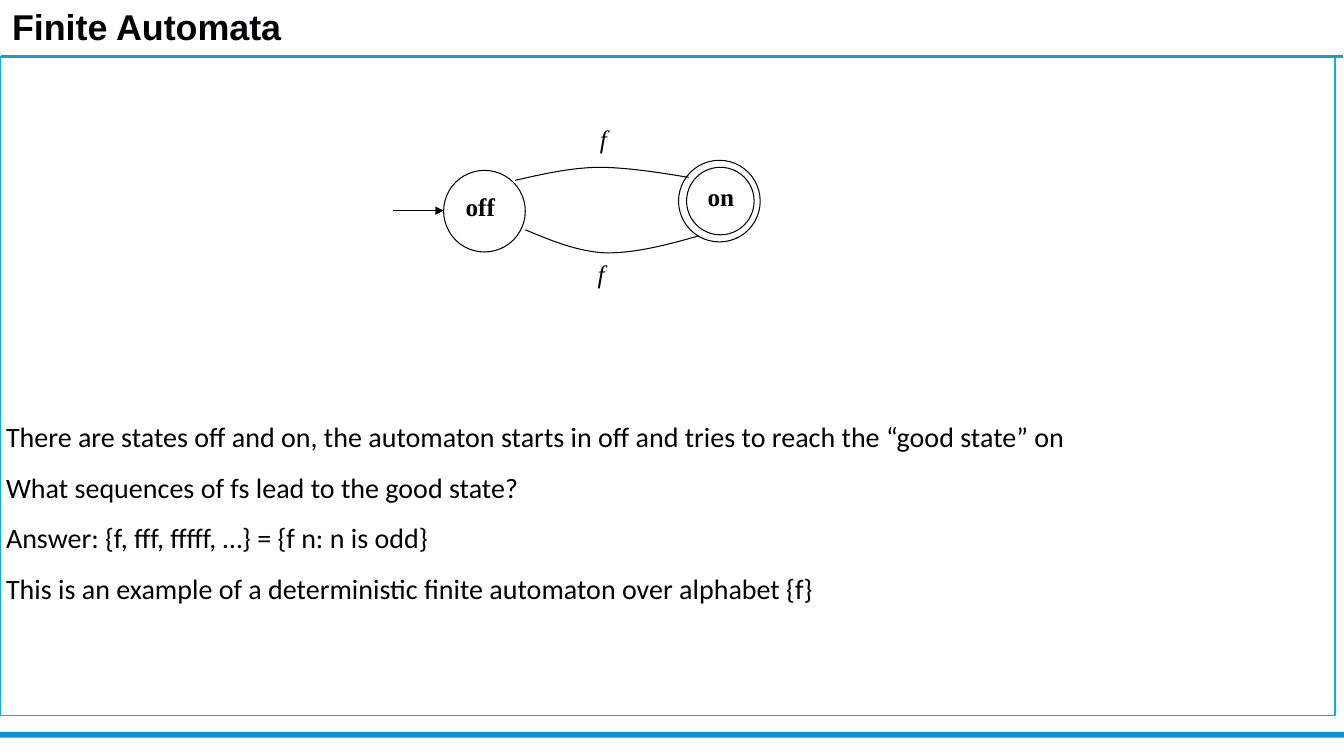
"""Build the Finite Automata slide with its two-state diagram."""
from dataclasses import dataclass
from typing import Any

from lxml import etree
from pptx import Presentation
from pptx.dml.color import RGBColor
from pptx.enum.shapes import MSO_CONNECTOR, MSO_SHAPE
from pptx.enum.text import MSO_ANCHOR, MSO_AUTO_SIZE, PP_ALIGN
from pptx.oxml.ns import qn
from pptx.util import Inches, Pt

RECTANGLE, OVAL = MSO_SHAPE.RECTANGLE, MSO_SHAPE.OVAL
STRAIGHT = MSO_CONNECTOR.STRAIGHT
TOP, BOTTOM = MSO_ANCHOR.TOP, MSO_ANCHOR.BOTTOM
LEFT, JUSTIFY = PP_ALIGN.LEFT, PP_ALIGN.JUSTIFY
NO_AUTOFIT = MSO_AUTO_SIZE.NONE

COLORS = {"title": "010103", "rule": "1F97C8", "bar": "0793CF",
          "frame": "00B0F0", "white": "FFFFFF", "black": "000000"}
TITLE_FONT = {"name": "Arial", "size": Pt(25.6), "bold": True}
BODY_FONT = {"name": "Calibri", "size": Pt(20)}
STATE_FONT = {"name": "Times New Roman", "size": Pt(18), "bold": True}
SYMBOL_FONT = {"name": "Times New Roman", "size": Pt(18), "italic": True}
BODY_LINES = [
    "There are states off and on, the automaton starts in off and tries to reach the “good state” on",
    "What sequences of fs lead to the good state?",
    "Answer: {f, fff, fffff, …} = {f n: n is odd}",
    "This is an example of a deterministic finite automaton over alphabet {f}",
]
CURVE_STEPS = 16
Point = tuple[float, float]


@dataclass
class Box:
    """Position and size in inches."""
    left: float
    top: float
    width: float
    height: float

    def lengths(self) -> list[int]:
        """Return left, top, width and height as lengths."""
        return [Inches(value) for value in (self.left, self.top, self.width, self.height)]


@dataclass
class Label:
    """A short text in the diagram."""
    text: str
    box: Box
    font: dict[str, Any]


CIRCLES = [Box(4.4, 1.69, 0.81, 0.81), Box(6.73, 1.59, 0.81, 0.81), Box(6.81, 1.66, 0.67, 0.67)]
LABELS = [
    Label("off", Box(4.52, 1.85, 0.49, 0.4), STATE_FONT),
    Label("on", Box(6.92, 1.75, 0.48, 0.4), STATE_FONT),
    Label("f", Box(5.85, 1.17, 0.31, 0.49), SYMBOL_FONT),
    Label("f", Box(5.83, 2.51, 0.31, 0.49), SYMBOL_FONT),
]
TRANSITIONS: list[list[Point]] = [
    [(5.11, 1.79), (5.37, 1.73), (5.63, 1.67), (5.92, 1.66), (6.21, 1.66), (6.52, 1.71), (6.83, 1.76)],
    [(5.21, 2.28), (5.47, 2.39), (5.74, 2.5), (6.02, 2.51), (6.31, 2.51), (6.62, 2.43), (6.93, 2.34)],
]


def set_values(target: Any, values: dict[str, Any]) -> None:
    """Set each named attribute on the target."""
    for name, value in values.items():
        setattr(target, name, value)


def color(name: str) -> RGBColor:
    """Return a named color."""
    return RGBColor.from_string(COLORS[name])


def set_line(shape: Any, name: str, width: float) -> None:
    """Give the shape a solid outline."""
    shape.line.color.rgb = color(name)
    shape.line.width = Pt(width)


def style_shape(shape: Any, fill: str | None, line: str | None, width: float = 0.75) -> None:
    """Set fill and outline and drop the shadow."""
    shape.shadow.inherit = False
    if fill:
        shape.fill.solid()
        shape.fill.fore_color.rgb = color(fill)
    else:
        shape.fill.background()
    if line:
        set_line(shape, line, width)
    else:
        shape.line.fill.background()


def add_line(slide: Any, start: Point, end: Point, name: str, width: float) -> Any:
    """Add a straight line without a shadow."""
    connector = slide.shapes.add_connector(STRAIGHT, *(Inches(value) for value in start + end))
    set_line(connector, name, width)
    etree.SubElement(connector.element.spPr, qn("a:effectLst"))
    return connector


def bezier(points: list[Point], step: float) -> Point:
    """Return the point of a cubic curve at a step from 0 to 1."""
    rest = 1 - step
    weights = (rest ** 3, 3 * rest ** 2 * step, 3 * rest * step ** 2, step ** 3)
    x, y = (sum(weight * point[axis] for weight, point in zip(weights, points)) for axis in (0, 1))
    return x, y


def add_transition(slide: Any, controls: list[Point]) -> None:
    """Draw a smooth transition through joined cubic curves."""
    points = [bezier(controls[first:first + 4], step / CURVE_STEPS)
              for first in range(0, len(controls) - 1, 3)
              for step in range(1, CURVE_STEPS + 1)]
    start, *others = [(Inches(x), Inches(y)) for x, y in [controls[0]] + points]
    builder = slide.shapes.build_freeform(*start)
    builder.add_line_segments(others, close=False)
    style_shape(builder.convert_to_shape(), None, "black")


def format_font(paragraph: Any, font: dict[str, Any], name: str) -> None:
    """Apply font values and a color to a paragraph."""
    set_values(paragraph.font, font)
    paragraph.font.color.rgb = color(name)


def fill_placeholder(shape: Any, box: Box, lines: list[str], anchor: Any) -> list[Any]:
    """Move a placeholder, write its lines and return the paragraphs."""
    set_values(shape, dict(zip(("left", "top", "width", "height"), box.lengths())))
    frame = shape.text_frame
    frame.text = "\n".join(lines)
    set_values(frame, {"margin_left": 0, "margin_top": 0, "margin_right": 0, "margin_bottom": 0,
                       "word_wrap": True, "auto_size": NO_AUTOFIT, "vertical_anchor": anchor})
    return list(frame.paragraphs)


def add_title(slide: Any) -> None:
    """Write the slide title."""
    box = Box(0.12, 0.05, 7.87, 0.43)
    for paragraph in fill_placeholder(slide.shapes.title, box, ["Finite Automata"], TOP):
        paragraph.alignment = LEFT
        format_font(paragraph, TITLE_FONT, "title")


def add_body(slide: Any) -> None:
    """Write the explanation inside its framed panel."""
    body = slide.placeholders[1]
    panel = slide.shapes.add_shape(RECTANGLE, *Box(0, 0.56, 13.24, 6.54).lengths())
    style_shape(panel, "white", "frame", 1)
    body.element.addprevious(panel.element)
    for paragraph in fill_placeholder(body, Box(0.06, 0.61, 13.12, 5.39), BODY_LINES, BOTTOM):
        set_values(paragraph, {"alignment": JUSTIFY, "line_spacing": 1.5,
                               "space_before": Pt(0), "space_after": Pt(0)})
        format_font(paragraph, BODY_FONT, "black")
        properties = paragraph._p.get_or_add_pPr()
        properties.set("marL", "0")
        properties.set("indent", "0")
        etree.SubElement(properties, qn("a:buNone"))
        properties.append(properties.find(qn("a:defRPr")))


def add_label(slide: Any, label: Label) -> None:
    """Add one diagram label."""
    frame = slide.shapes.add_textbox(*label.box.lengths()).text_frame
    frame.text = label.text
    format_font(frame.paragraphs[0], label.font, "black")


def add_automaton(slide: Any) -> None:
    """Draw the states, transitions, start arrow and labels."""
    for circle in CIRCLES:
        style_shape(slide.shapes.add_shape(OVAL, *circle.lengths()), None, "black")
    for controls in TRANSITIONS:
        add_transition(slide, controls)
    arrow = add_line(slide, (3.9, 2.09), (4.4, 2.09), "black", 0.75)
    etree.SubElement(arrow.line._get_or_add_ln(), qn("a:tailEnd"), type="triangle")
    for label in LABELS:
        add_label(slide, label)


def main() -> None:
    """Build and save the presentation."""
    presentation = Presentation()
    set_values(presentation, {"slide_width": Inches(13.33), "slide_height": Inches(7.5)})
    slide = presentation.slides.add_slide(presentation.slide_layouts[1])
    add_title(slide)
    add_line(slide, (0.01, 0.56), (13.32, 0.56), "rule", 2.25)
    bar = slide.shapes.add_shape(RECTANGLE, *Box(0, 7.26, 13.33, 0.06).lengths())
    style_shape(bar, "bar", None)
    add_body(slide)
    add_automaton(slide)
    presentation.save("out.pptx")


if __name__ == "__main__":
    main()
